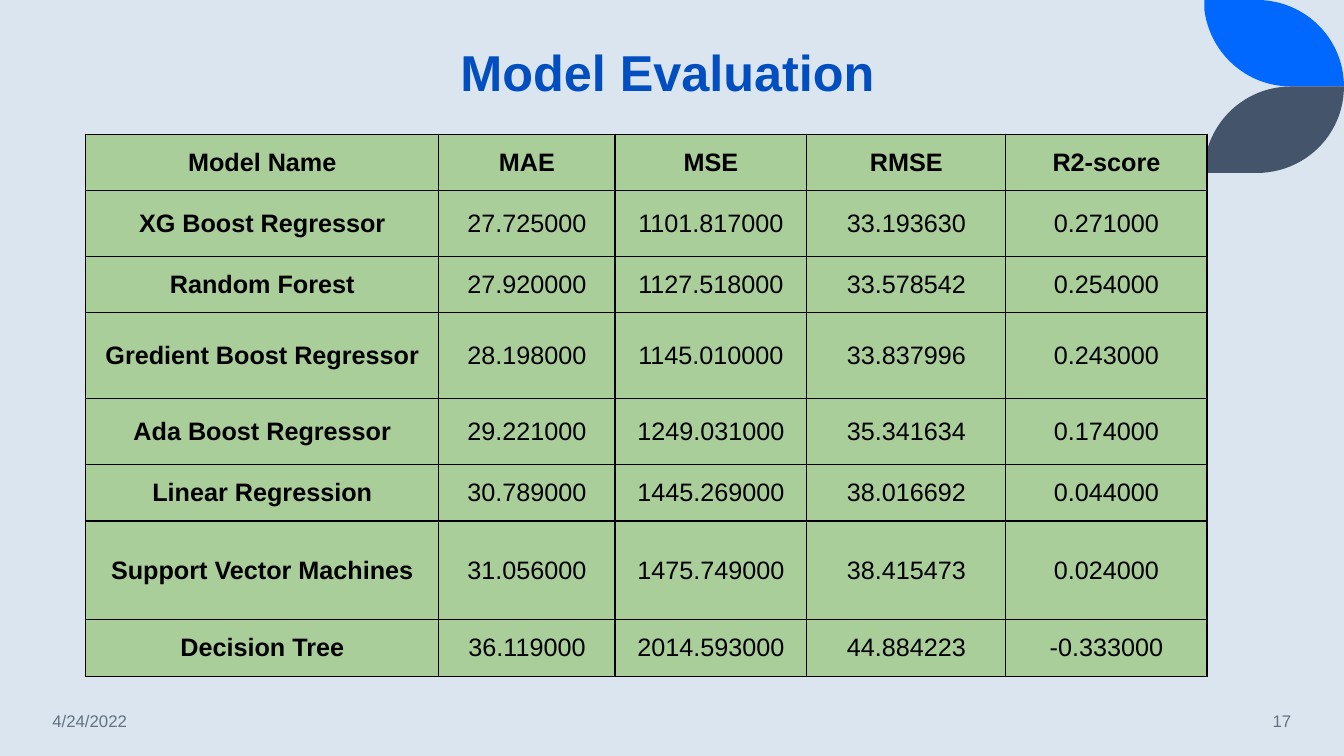
from lxml.etree import SubElement
from pptx import Presentation
from pptx.dml.color import RGBColor
from pptx.enum.text import MSO_ANCHOR as Anchor, MSO_AUTO_SIZE as AutoSize, PP_ALIGN as Align
from pptx.oxml.ns import qn
from pptx.util import Cm, Pt

TITLE = "Model Evaluation"
HEADER = ("Model Name", "MAE", "MSE", "RMSE", "R2-score")
MODELS = [
    ("XG Boost Regressor", "27.725000", "1101.817000", "33.193630", "0.271000"),
    ("Random Forest", "27.920000", "1127.518000", "33.578542", "0.254000"),
    ("Gredient Boost Regressor", "28.198000", "1145.010000", "33.837996", "0.243000"),
    ("Ada Boost Regressor", "29.221000", "1249.031000", "35.341634", "0.174000"),
    ("Linear Regression", "30.789000", "1445.269000", "38.016692", "0.044000"),
    ("Support Vector Machines", "31.056000", "1475.749000", "38.415473", "0.024000"),
    ("Decision Tree", "36.119000", "2014.593000", "44.884223", "-0.333000"),
]
COLUMN_WIDTHS = (8.9, 4.44, 4.83, 5.02, 5.07)
ROW_HEIGHTS = (1.42, 1.66, 1.42, 2.17, 1.66, 1.42, 2.49, 1.42)
FOOTERS = [("4/24/2022", 1.07, 4.72, Align.LEFT), ("17", 28.19, 4.6, Align.RIGHT)]

LEAF_LEFT, LEAF_HEIGHT = 30.35, 2.18
LEAVES = [("0068FF", 0, 1), ("44546A", 2 * LEAF_HEIGHT, -1)]
OUTER_CURVE = ((1.32, 0), (2.54, 0), (3.52, 0.97), (3.52, LEAF_HEIGHT))
INNER_CURVE = ((2.19, LEAF_HEIGHT), (1.04, LEAF_HEIGHT), (0.13, 1.32), (0, 0.23))
CURVE_STEPS = 24


def color(value):
    return RGBColor.from_string(value)


def style(para, size, tint, align, bold=False):
    para.alignment = align
    font = para.font
    font.name, font.size, font.bold = "Arial", Pt(size), bold
    font.color.rgb = color(tint)


def curve_points(curve):
    for step in range(CURVE_STEPS + 1):
        t = step / CURVE_STEPS
        weights = ((1 - t) ** 3, 3 * t * (1 - t) ** 2, 3 * t * t * (1 - t), t ** 3)
        yield tuple(sum(w * point[axis] for w, point in zip(weights, curve)) for axis in (0, 1))


def add_leaf(page, tint, base, direction):
    outline = [(0, 0), *curve_points(OUTER_CURVE), *curve_points(INNER_CURVE)]
    points = [(Cm(LEAF_LEFT + x), Cm(base + direction * y)) for x, y in outline]
    builder = page.shapes.build_freeform(*points[0])
    builder.add_line_segments(points[1:], close=True)
    leaf = builder.convert_to_shape()
    leaf.shadow.inherit = False
    leaf.fill.solid()
    leaf.fill.fore_color.rgb = color(tint)
    leaf.line.fill.background()


def add_borders(cell):
    properties = cell._tc.get_or_add_tcPr()
    for index, side in enumerate(("lnL", "lnR", "lnT", "lnB")):
        line = SubElement(properties, qn(f"a:{side}"), w=str(Pt(1)))
        fill = SubElement(line, qn("a:solidFill"))
        SubElement(fill, qn("a:srgbClr"), val="000000")
        properties.remove(line)
        properties.insert(index, line)


def add_scores(page):
    rows = [HEADER, *MODELS]
    table = page.shapes.add_table(
        len(rows), len(HEADER), Cm(2.16), Cm(3.38),
        Cm(sum(COLUMN_WIDTHS)), Cm(sum(ROW_HEIGHTS))).table
    for column, width in zip(table.columns, COLUMN_WIDTHS):
        column.width = Cm(width)
    for row, height in zip(table.rows, ROW_HEIGHTS):
        row.height = Cm(height)
    for r, values in enumerate(rows):
        for c, value in enumerate(values):
            cell = table.cell(r, c)
            cell.text = value
            cell.vertical_anchor = Anchor.MIDDLE
            cell.margin_left = cell.margin_right = Cm(0.08)
            cell.margin_top = cell.margin_bottom = Cm(0.03)
            cell.fill.solid()
            cell.fill.fore_color.rgb = color("A9CE99")
            style(cell.text_frame.paragraphs[0], 18, "000000", Align.CENTER, r == 0 or c == 0)
            add_borders(cell)


def add_title(page):
    title = page.shapes.title
    title.left, title.top, title.width, title.height = Cm(3.25), Cm(1.07), Cm(27.15), Cm(1.65)
    frame = title.text_frame
    frame.text = TITLE
    frame.auto_size = AutoSize.NONE
    frame.vertical_anchor = Anchor.BOTTOM
    para = frame.paragraphs[0]
    para.line_spacing = 0.9
    style(para, 36, "004EBF", Align.CENTER, True)


def add_footer(page, text, left, width, align):
    box = page.shapes.add_textbox(Cm(left), Cm(17.65), Cm(width), Cm(1.02))
    frame = box.text_frame
    frame.word_wrap = True
    frame.vertical_anchor = Anchor.MIDDLE
    frame.text = text
    style(frame.paragraphs[0], 12, "637183", align)


def main():
    deck = Presentation()
    deck.slide_width, deck.slide_height = Cm(33.87), Cm(19.05)
    page = deck.slides.add_slide(deck.slide_layouts[5])
    page.background.fill.solid()
    page.background.fill.fore_color.rgb = color("DAE5EF")
    for leaf in LEAVES:
        add_leaf(page, *leaf)
    add_title(page)
    add_scores(page)
    for footer in FOOTERS:
        add_footer(page, *footer)
    deck.save("out.pptx")


if __name__ == "__main__":
    main()
